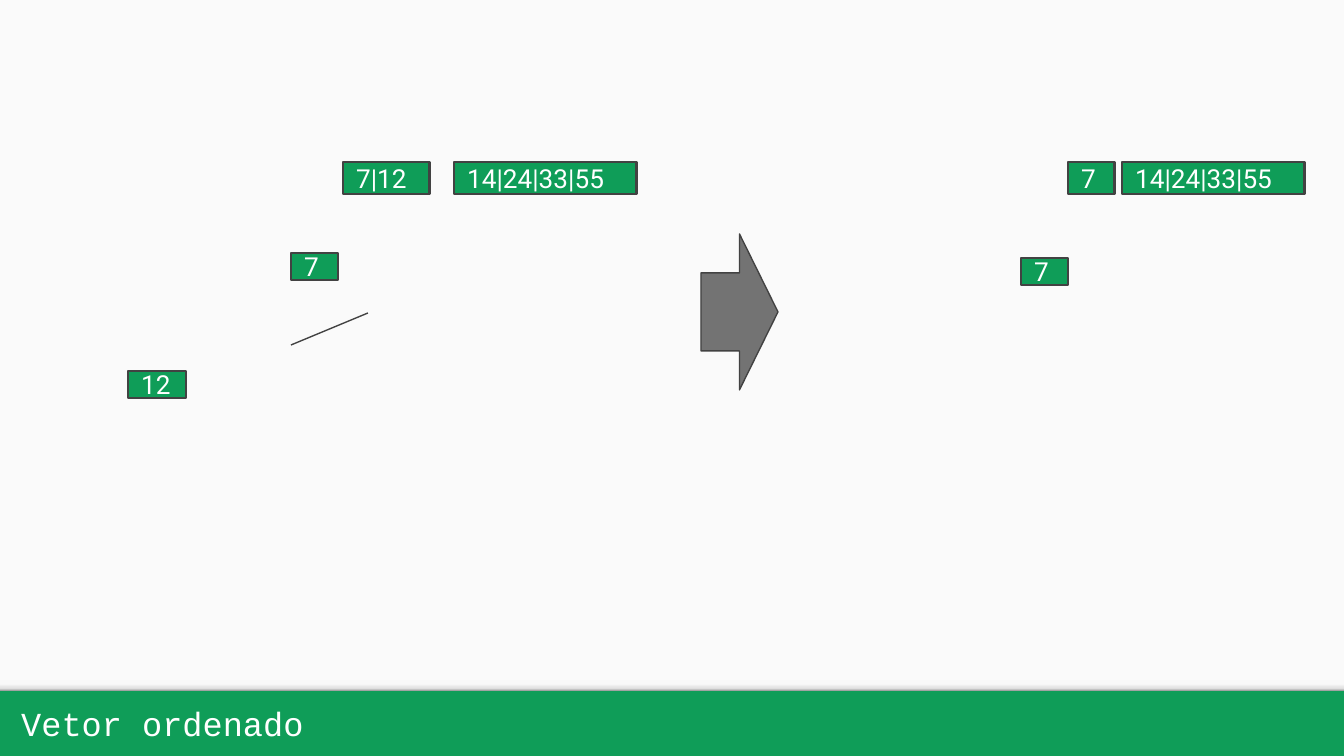
from lxml import etree
from pptx import Presentation
from pptx import util as u
from pptx.dml.color import RGBColor
from pptx.enum import shapes, text
from pptx.oxml import ns

GREEN = RGBColor(0x0F, 0x9D, 0x58)
PAPER = RGBColor(0xFA, 0xFA, 0xFA)
WHITE = RGBColor(0xFF, 0xFF, 0xFF)
GRAY = RGBColor(0x73, 0x73, 0x73)
OUTLINE = RGBColor(0x42, 0x42, 0x42)

WIDTH, HEIGHT = 1344, 756
FOOTER_TOP = 691
TITLE = "Vetor ordenado"
SHADE_STOPS = [(0, "F9F9F9"), (36, "F9F9F9"), (80, "DEDEDE"), (100, "999999")]
VECTOR_TOP, VECTOR_HEIGHT, VECTOR_LINE = 162, 32, 1.5
VECTORS = [("7|12", 343, 87), ("14|24|33|55", 454, 183),
           ("7", 1068, 47), ("14|24|33|55", 1122, 183)]
NODE_HEIGHT, NODE_LINE = 27, 0.75
NODES = [("7", 291, 253, 47), ("12", 128, 371, 58), ("7", 1021, 258, 47)]
STEP = (701, 234, 77, 156)
BRANCH = (368, 313, 291, 345)


def px(*values):
    return [round(value * 914400 / 134.4) for value in values]


def add_block(kind, box, fill, line=None):
    block = slide.shapes.add_shape(kind, *px(*box))
    block.shadow.inherit = False
    block.fill.solid()
    block.fill.fore_color.rgb = fill
    if line is None:
        block.line.fill.background()
    else:
        block.line.color.rgb = OUTLINE
        block.line.width = u.Pt(line)
    return block


def write(holder, words, font, size):
    frame = holder.text_frame
    frame.word_wrap = True
    frame.vertical_anchor = text.MSO_ANCHOR.MIDDLE
    frame.margin_left = frame.margin_right = u.Inches(0.1)
    frame.margin_top = frame.margin_bottom = u.Inches(0.1)
    frame.text = words
    line = frame.paragraphs[0]
    line.alignment = text.PP_ALIGN.LEFT
    run = line.runs[0]
    run.font.name = font
    run.font.size = u.Pt(size)
    run.font.color.rgb = WHITE


deck = Presentation()
deck.slide_width, deck.slide_height = px(WIDTH, HEIGHT)
slide = deck.slides.add_slide(deck.slide_layouts[6])
slide.background.fill.solid()
slide.background.fill.fore_color.rgb = GREEN

RECT = shapes.MSO_SHAPE.RECTANGLE
add_block(RECT, (0, 0, WIDTH, FOOTER_TOP), PAPER)

shade = add_block(RECT, (0, FOOTER_TOP - 11, WIDTH, 11), PAPER)
shade.fill.gradient()
shade.fill.gradient_angle = 270
stops = shade.element.spPr.find(ns.qn("a:gradFill")).find(ns.qn("a:gsLst"))
for stop in list(stops):
    stops.remove(stop)
for position, color in SHADE_STOPS:
    stop = etree.SubElement(stops, ns.qn("a:gs"), pos=str(position * 1000))
    etree.SubElement(stop, ns.qn("a:srgbClr"), val=color)

title = slide.shapes.add_textbox(*px(8, FOOTER_TOP, 1232, HEIGHT - FOOTER_TOP))
write(title, TITLE, "Courier New", 18)

add_block(shapes.MSO_SHAPE.RIGHT_ARROW, STEP, GRAY, NODE_LINE)

branch = slide.shapes.add_connector(shapes.MSO_CONNECTOR.STRAIGHT, *px(*BRANCH))
branch.line.color.rgb = OUTLINE
branch.line.width = u.Pt(NODE_LINE)
etree.SubElement(branch.element.spPr, ns.qn("a:effectLst"))

cells = [(keys, (left, top, width, NODE_HEIGHT), NODE_LINE)
         for keys, left, top, width in NODES]
cells += [(keys, (left, VECTOR_TOP, width, VECTOR_HEIGHT), VECTOR_LINE)
          for keys, left, width in VECTORS]
for keys, box, line in cells:
    write(add_block(RECT, box, GREEN, line), keys, "Roboto", 14)

deck.save("out.pptx")
